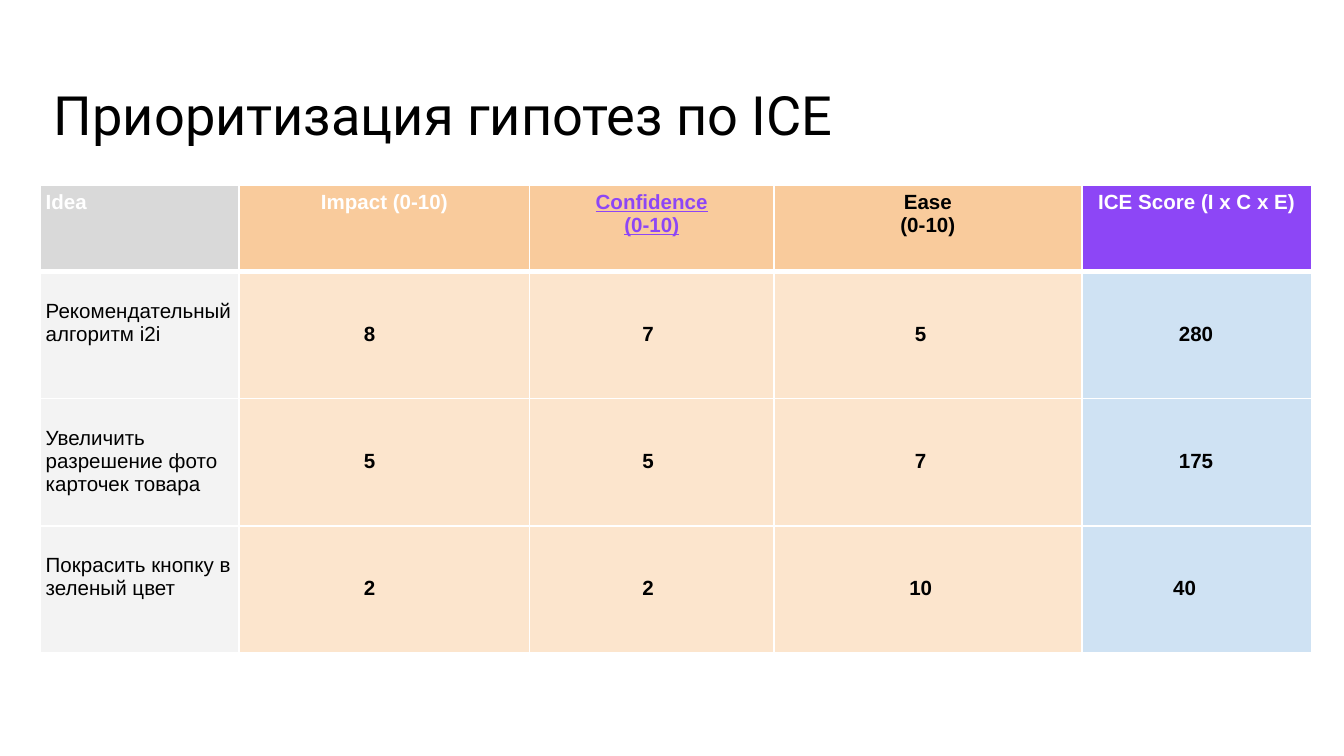
import dataclasses

import pptx
import pptx.dml.color
import pptx.enum.text
import pptx.oxml
import pptx.oxml.ns
import pptx.util

Pt = pptx.util.Pt
ALIGN = pptx.enum.text.PP_ALIGN
ANCHOR = pptx.enum.text.MSO_ANCHOR
PAD = 2.9
LINE = 12.3  # height of one table text line
DIGIT = 3  # left shift of a two-digit value


@dataclasses.dataclass
class Column:
    head: str
    width: float
    fill: str
    body: str
    ink: str = "FFFFFF"
    under: bool = False
    left: float = PAD  # left margin of the body cells


COLS = [
    Column("Idea", 106.6, "D9D9D9", "F3F3F3"),
    Column("Impact (0-10)", 155.5, "F9CB9C", "FCE5CD", left=66.7),
    Column("Confidence\v(0-10)", 131, "F9CB9C", "FCE5CD", "8D46F6", True, 60.5),
    Column("Ease\n(0-10)", 164.9, "F9CB9C", "FCE5CD", "000000", left=75.5),
    Column("ICE Score (I х С х E)", 123.1, "8D46F6", "CFE2F3", left=52),
]
IDEAS = [
    ("Рекомендательный алгоритм i2i", 8, 7, 5, 280),
    ("Увеличить разрешение фото карточек товара", 5, 5, 7, 175),
    ("Покрасить кнопку в зеленый цвет", 2, 2, 10, 40),
]


def paint(color) -> pptx.dml.color.RGBColor:
    return pptx.dml.color.RGBColor.from_string(color)


def pad(box, left: float = PAD, top: float = PAD) -> None:
    box.margin_left, box.margin_top = Pt(left), Pt(top)
    box.margin_right = box.margin_bottom = Pt(PAD)


def edge(cell, top: float, bottom: float) -> None:
    """Draw white borders round a cell."""
    props = cell._tc.get_or_add_tcPr()
    for side, width in zip("LRTB", (1, 1, top, bottom)):
        props.append(pptx.oxml.parse_xml(
            f'<a:ln{side} {pptx.oxml.ns.nsdecls("a")} w="{Pt(width)}">'
            f'<a:solidFill><a:srgbClr val="FFFFFF"/></a:solidFill></a:ln{side}>'))


def write(cell, text: str, fill: str, ink: str, bold: bool,
          align, under: bool = False) -> None:
    cell.fill.solid()
    cell.fill.fore_color.rgb = paint(fill)
    cell.vertical_anchor = ANCHOR.TOP
    cell.text_frame.text = text
    for para in cell.text_frame.paragraphs:
        para.alignment = align
        for run in para.runs:
            font = run.font
            font.name, font.size = "Arial", Pt(11)
            font.bold, font.underline = bold, under
            font.color.rgb = paint(ink)


# Slide
deck = pptx.Presentation()
deck.slide_width, deck.slide_height = Pt(720), Pt(405)
slide = deck.slides.add_slide(deck.slide_layouts[5])

# Title
title = slide.shapes.title
title.left, title.top = Pt(26), Pt(36)
title.width, title.height = Pt(638.6), Pt(46)
frame = title.text_frame
frame.text = "Приоритизация гипотез по ICE"
frame.word_wrap = True
frame.auto_size = pptx.enum.text.MSO_AUTO_SIZE.NONE
frame.vertical_anchor = ANCHOR.BOTTOM
pad(frame)
para = frame.paragraphs[0]
para.alignment, para.line_spacing = ALIGN.LEFT, 0.9
font = para.runs[0].font
font.name, font.size = "Roboto", Pt(29)
font.color.rgb = paint("000000")

# Table grid
heights = [46] + [68.2] * len(IDEAS)
grid = slide.shapes.add_table(
    len(heights), len(COLS), Pt(21.6), Pt(99.4),
    Pt(sum(col.width for col in COLS)), Pt(sum(heights))).table
grid.horz_banding = grid.first_row = False
for row, height in zip(grid.rows, heights):
    row.height = Pt(height)

# Header and scores
for c, col in enumerate(COLS):
    grid.columns[c].width = Pt(col.width)
    cell = grid.cell(0, c)
    pad(cell)
    edge(cell, 1, 3)
    write(cell, col.head, col.fill, col.ink, True,
          ALIGN.CENTER if c else ALIGN.LEFT, col.under)
    for r, idea in enumerate(IDEAS, 1):
        cell = grid.cell(r, c)
        text = str(idea[c])
        shift = DIGIT if len(text) == 2 else 0
        pad(cell, col.left - shift, PAD + LINE * (2 if c else 1))
        edge(cell, 3 if r == 1 else 1, 1)
        write(cell, text, col.body, "000000", c > 0, ALIGN.LEFT)

deck.save("out.pptx")
